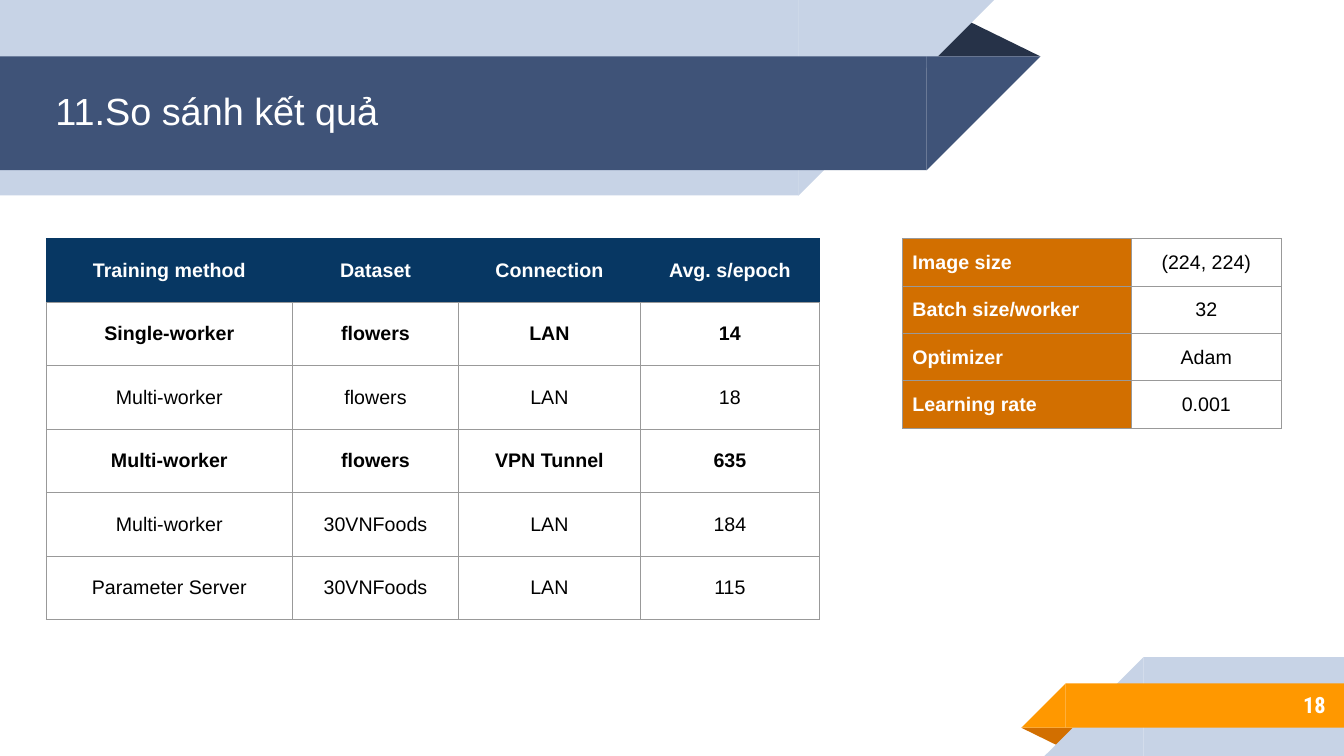
"""Build the slide comparing training results in two tables."""
from lxml import etree
from pptx import Presentation
from pptx.dml.color import RGBColor
from pptx.enum.shapes import MSO_SHAPE
from pptx.enum.text import MSO_ANCHOR, MSO_AUTO_SIZE, PP_ALIGN
from pptx.oxml.ns import qn
from pptx.util import Pt

PX = 9144
RECTANGLE = MSO_SHAPE.RECTANGLE
CORNER = MSO_SHAPE.RIGHT_TRIANGLE
TRIANGLE = MSO_SHAPE.ISOSCELES_TRIANGLE
MIDDLE = MSO_ANCHOR.MIDDLE
LEFT, CENTER, RIGHT = PP_ALIGN.LEFT, PP_ALIGN.CENTER, PP_ALIGN.RIGHT
COLORS = {
    "white": "FFFFFF", "black": "000000", "grey": "999999",
    "night": "263248", "pale": "C7D3E6", "slate": "3F5378",
    "rust": "D26F00", "orange": "FF9800", "navy": "073763",
}


def format_text(frame, size, font_name, color, bold, align, inset):
    frame.word_wrap = True
    para = frame.paragraphs[0]
    para.alignment = align
    para.font.size = Pt(size)
    para.font.name = font_name
    para.font.bold = bold
    para.font.color.rgb = RGBColor.from_string(COLORS[color])
    frame.margin_left = frame.margin_right = inset * PX
    frame.margin_top = frame.margin_bottom = inset * PX


def add_grid(left, top, column_widths, row_height, rows, style_of):
    frame = page.shapes.add_table(
        len(rows), len(column_widths), left * PX, top * PX,
        sum(column_widths) * PX, row_height * len(rows) * PX)
    table = frame.table
    table.first_row = table.horz_banding = False
    for column, width in zip(table.columns, column_widths):
        column.width = width * PX
    for row_index, texts in enumerate(rows):
        table.rows[row_index].height = row_height * PX
        for column_index, text in enumerate(texts):
            fill, color, bold, align, edge = style_of(row_index, column_index)
            cell = table.cell(row_index, column_index)
            cell.text = text
            format_text(cell.text_frame, 14, "Arial", color, bold, align, 10)
            cell.margin_left = cell.margin_right = 10 * PX
            cell.margin_top = cell.margin_bottom = 10 * PX
            cell.vertical_anchor = MIDDLE
            if fill:
                cell.fill.solid()
                cell.fill.fore_color.rgb = RGBColor.from_string(COLORS[fill])
            else:
                cell.fill.background()
            properties = cell._tc.get_or_add_tcPr()
            borders = (("a:lnL", edge), ("a:lnR", edge), ("a:lnT", edge), ("a:lnB", "grey"))
            for position, (tag, line_color) in enumerate(borders):
                line = etree.Element(qn(tag), w=str(Pt(0.75)))
                solid = etree.SubElement(line, qn("a:solidFill"))
                etree.SubElement(solid, qn("a:srgbClr"), val=COLORS[line_color])
                properties.insert(position, line)


deck = Presentation()
deck.slide_width = 1333 * PX
deck.slide_height = 750 * PX
page = deck.slides.add_slide(deck.slide_layouts[5])

ribbons = [
    (TRIANGLE, 918, 18, 114, 38, "night", 0, False),
    (RECTANGLE, 0, 0, 792, 194, "pale", 0, False),
    (CORNER, 792, 0, 194, 194, "pale", 180, True),
    (RECTANGLE, 0, 56, 919, 113, "slate", 0, False),
    (CORNER, 919, 56, 113, 113, "slate", 180, True),
    (TRIANGLE, 1013, 722, 57, 19, "rust", 180, False),
    (RECTANGLE, 1134, 652, 199, 98, "pale", 0, False),
    (CORNER, 1036, 652, 98, 98, "pale", 0, True),
    (RECTANGLE, 1057, 678, 276, 44, "orange", 0, False),
    (CORNER, 1013, 678, 44, 44, "orange", 0, True),
]
for kind, left, top, width, height, color, rotation, flipped in ribbons:
    ribbon = page.shapes.add_shape(kind, left * PX, top * PX, width * PX, height * PX)
    ribbon.shadow.inherit = False
    ribbon.fill.solid()
    ribbon.fill.fore_color.rgb = RGBColor.from_string(COLORS[color])
    ribbon.line.fill.background()
    ribbon.rotation = rotation
    if kind == TRIANGLE:
        ribbon.adjustments[0] = 0.32
    if flipped:
        ribbon.element.spPr.find(qn("a:xfrm")).set("flipH", "1")

number_box = page.shapes.add_textbox(1111 * PX, 676 * PX, 217 * PX, 46 * PX)
number_box.text_frame.text = "18"
number_box.text_frame.vertical_anchor = MIDDLE
format_text(number_box.text_frame, 16, "Roboto Condensed", "white", True, RIGHT, 13)

title = page.shapes.title
title.left, title.top, title.width, title.height = 36 * PX, 54 * PX, 885 * PX, 110 * PX
title.text_frame.text = "So sánh kết quả"
title.text_frame.auto_size = MSO_AUTO_SIZE.NONE
title.text_frame.vertical_anchor = MIDDLE
format_text(title.text_frame, 27, "Arial", "white", False, LEFT, 13)
numbering = title.text_frame.paragraphs[0]._p.get_or_add_pPr()
numbering.set("marL", str(50 * PX))
numbering.set("indent", str(-44 * PX))
bullet_color = etree.Element(qn("a:buClr"))
etree.SubElement(bullet_color, qn("a:srgbClr"), val=COLORS["white"])
bullet_font = etree.Element(qn("a:buFont"), typeface="Arial")
bullet_number = etree.Element(qn("a:buAutoNum"), type="arabicPeriod", startAt="11")
for position, part in enumerate((bullet_color, bullet_font, bullet_number)):
    numbering.insert(position, part)
title.element.getparent().append(title.element)

results = [
    ("Training method", "Dataset", "Connection", "Avg. s/epoch"),
    ("Single-worker", "flowers", "LAN", "14"),
    ("Multi-worker", "flowers", "LAN", "18"),
    ("Multi-worker", "flowers", "VPN Tunnel", "635"),
    ("Multi-worker", "30VNFoods", "LAN", "184"),
    ("Parameter Server", "30VNFoods", "LAN", "115"),
]
settings = [
    ("Image size", "(224, 224)"),
    ("Batch size/worker", "32"),
    ("Optimizer", "Adam"),
    ("Learning rate", "0.001"),
]
add_grid(46, 237, (244, 165, 180, 178), 63, results, lambda row, column: (
    ("navy", "white", True, CENTER, "navy") if row == 0
    else (None, "black", row in (1, 3), CENTER, "grey")))
add_grid(895, 237, (227, 149), 47, settings, lambda row, column: (
    ("rust", "white", True, LEFT, "grey") if column == 0
    else (None, "black", False, CENTER, "grey")))

deck.save("out.pptx")
